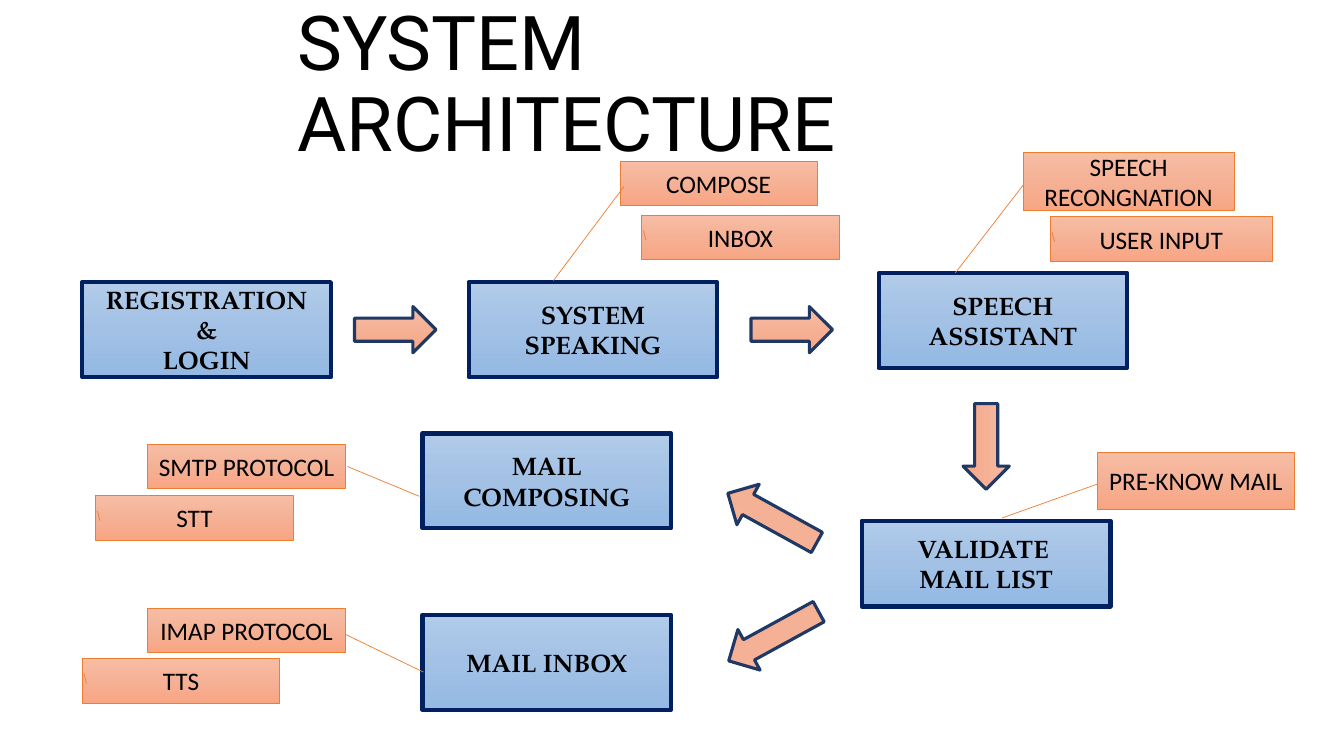
from copy import deepcopy
from pptx import Presentation
from pptx.dml.color import RGBColor as RGB
from pptx.enum.shapes import MSO_SHAPE as SHAPE
from pptx.enum.text import MSO_ANCHOR as ANCHOR, PP_ALIGN as ALIGN
from pptx.oxml.ns import qn
from pptx.util import Inches, Pt

BLACK = RGB(0x00, 0x00, 0x00)
NAVY = RGB(0x00, 0x20, 0x60)
DARK = RGB(0x20, 0x38, 0x64)
ORANGE = RGB(0xED, 0x7D, 0x31)
BLUES = [RGB(0xB1, 0xCB, 0xE9), RGB(0xA3, 0xC1, 0xE5), RGB(0x93, 0xB9, 0xE4)]
PEACH = [RGB(0xF7, 0xBD, 0xA5), RGB(0xF5, 0xB1, 0x96), RGB(0xF8, 0xA5, 0x82)]

deck = Presentation()
deck.slide_width, deck.slide_height = Inches(13.33), Inches(7.5)
slide = deck.slides.add_slide(deck.slide_layouts[6])

# Grid of 160 columns by 90 rows
COL, ROW = deck.slide_width / 160, deck.slide_height / 90


def draw(kind, x, y, w, h, shades, edge, width):
    shape = slide.shapes.add_shape(
        kind, int(x * COL), int(y * ROW), int(w * COL), int(h * ROW))
    shape.shadow.inherit = False
    shape.fill.gradient()
    shape.fill.gradient_angle = 270
    first = shape.element.spPr.find(".//" + qn("a:gs"))
    first.addnext(deepcopy(first))
    for i, (stop, shade) in enumerate(zip(shape.fill.gradient_stops, shades)):
        stop.position = i / 2
        stop.color.rgb = shade
    shape.line.color.rgb = edge
    shape.line.width = Pt(width)
    return shape


def write(shape, lines, font, size, bold=False, align=ALIGN.CENTER):
    frame = shape.text_frame
    frame.word_wrap = True
    frame.vertical_anchor = ANCHOR.MIDDLE
    for i, line in enumerate(lines):
        para = frame.add_paragraph() if i else frame.paragraphs[0]
        para.alignment = align
        run = para.add_run()
        run.text = line
        run.font.name = font
        run.font.size = Pt(size)
        run.font.bold = bold
        run.font.color.rgb = BLACK


# Title
title = slide.shapes.add_textbox(
    int(34.2 * COL), int(1.6 * ROW), int(102.6 * COL), int(17.4 * ROW))
write(title, ["SYSTEM ARCHITECTURE"], "Roboto", 54, align=ALIGN.LEFT)
title.text_frame.paragraphs[0].line_spacing = 0.9

# Steps: x, y, height, lines
TALL = 11.3
steps = [
    (9.8, 33.6, TALL, ["REGISTRATION &", "LOGIN"]),
    (55.8, 33.6, TALL, ["SYSTEM SPEAKING"]),
    (104.6, 32.5, TALL, ["SPEECH ASSISTANT"]),
    (102.6, 62, 10.2, ["VALIDATE ", "MAIL LIST"]),
    (50.3, 51.6, TALL, ["MAIL COMPOSING"]),
    (50.3, 73.2, TALL, ["MAIL INBOX"]),
]
for x, y, h, lines in steps:
    box = draw(SHAPE.RECTANGLE, x, y, 29.6, h, BLUES, NAVY, 3)
    write(box, lines, "TeX Gyre Pagella", 18, bold=True)

# Callouts: x, y, width, height, text, leader (y1, x1, y2, x2 as shares)
WIDE, LOW = 23.5, 5.3
STUB = (0.565, 0.021, 0.347, 0.009)
notes = [
    (73.8, 19.2, WIDE, LOW, "COMPOSE", (0.565, 0.021, 2.681, -0.337)),
    (76.4, 25.6, WIDE, LOW, "INBOX", STUB),
    (121.8, 18.1, 25.1, 7, "SPEECH RECONGNATION", (0.565, 0, 2.055, -0.321)),
    (125, 25.8, 26.5, LOW, "USER INPUT", STUB),
    (130.6, 53.8, WIDE, 6.8, "PRE-KNOW MAIL", (0.565, 0, 1.156, -0.481)),
    (9.8, 78.4, WIDE, LOW, "TTS", STUB),
    (11.4, 59, WIDE, LOW, "STT", STUB),
    (17.6, 72.4, WIDE, LOW, "IMAP PROTOCOL", (0.588, 1, 1.436, 1.396)),
    (17.6, 52.9, WIDE, LOW, "SMTP PROTOCOL", (0.499, 1.011, 1.169, 1.376)),
]
for x, y, w, h, text, leader in notes:
    note = draw(SHAPE.LINE_CALLOUT_1, x, y, w, h, PEACH, ORANGE, 0.5)
    for i, share in enumerate(leader):
        note.adjustments[i] = share
    write(note, [text], "Calibri", 18)

# Block arrows: x, y, width, turn
arrows = [
    (42.2, 36.5, 9.7, 0),
    (89.4, 36.5, 9.7, 0),
    (112.3, 50.4, 10.2, 90),
    (86, 73, 12.2, 151.3),
    (85.9, 58.9, 12.1, 208.9),
]
for x, y, w, turn in arrows:
    arrow = draw(SHAPE.RIGHT_ARROW, x, y, w, 5.5, PEACH, DARK, 2.25)
    arrow.rotation = turn

deck.save("out.pptx")
